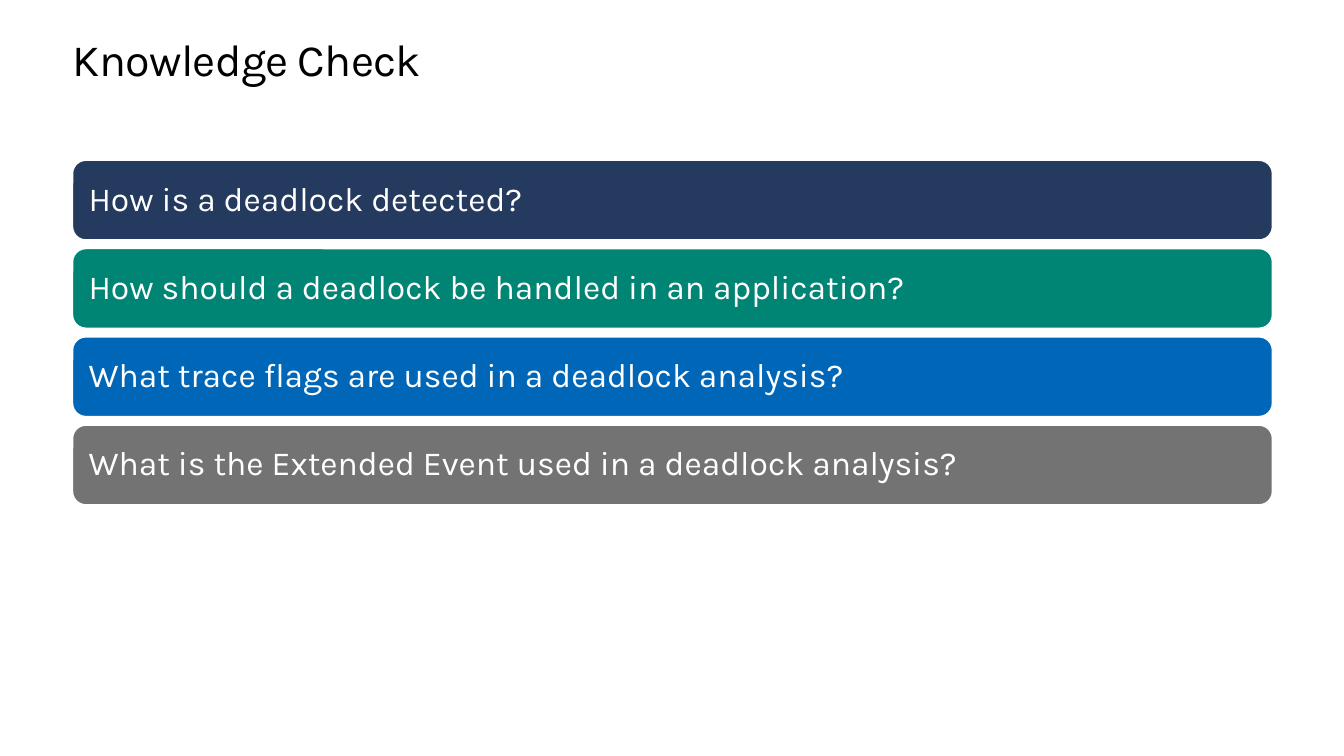
from pptx import Presentation
from pptx.dml.color import RGBColor
from pptx.enum.shapes import MSO_SHAPE
from pptx.enum.text import MSO_ANCHOR, PP_ALIGN
from pptx.util import Inches, Pt

ROUNDED = MSO_SHAPE.ROUNDED_RECTANGLE
MIDDLE = MSO_ANCHOR.MIDDLE
LEFT = PP_ALIGN.LEFT

COLORS = {
    "black": "000000",
    "white": "FFFFFF",
    "navy": "243A5E",
    "green": "008575",
    "blue": "0067B8",
    "gray": "737373",
}
QUESTIONS = [
    ("How is a deadlock detected?", "navy"),
    ("How should a deadlock be handled in an application?", "green"),
    ("What trace flags are used in a deadlock analysis?", "blue"),
    ("What is the Extended Event used in a deadlock analysis?", "gray"),
]
MARGIN, WIDTH = 0.72, 11.9
TOP, HEIGHT, PITCH = 1.59, 0.79, 0.876


def color(name):
    return RGBColor.from_string(COLORS[name])


def write(shape, text, size, tint, inset, spacing):
    """Fill a shape with one left-aligned line of text."""
    frame = shape.text_frame
    frame.word_wrap = True
    for side in ("left", "top", "right", "bottom"):
        setattr(frame, f"margin_{side}", Inches(inset))
    line = frame.paragraphs[0]
    line.alignment = LEFT
    line.line_spacing = spacing
    run = line.add_run()
    run.text = text
    for key, value in {"name": "Karla", "size": Pt(size)}.items():
        setattr(run.font, key, value)
    run.font.color.rgb = color(tint)
    return run


deck = Presentation()
deck.slide_width, deck.slide_height = Inches(13.33), Inches(7.5)
slide = deck.slides.add_slide(deck.slide_layouts[6])

# Title
title = slide.shapes.add_textbox(
    Inches(MARGIN), Inches(0.35), Inches(WIDTH), Inches(0.5))
run = write(title, "Knowledge Check", 32, "black", 0, Pt(36.2))
run.font._element.set("spc", "-50")

# Question bars
for row, (text, fill) in enumerate(QUESTIONS):
    bar = slide.shapes.add_shape(
        ROUNDED, Inches(MARGIN), Inches(TOP + row * PITCH),
        Inches(WIDTH), Inches(HEIGHT))
    bar.shadow.inherit = False
    bar.fill.solid()
    bar.fill.fore_color.rgb = color(fill)
    bar.line.color.rgb = color("white")
    bar.line.width = Pt(1)
    bar.text_frame.vertical_anchor = MIDDLE
    write(bar, text, 24, "white", 0.12, 0.9)

deck.save("out.pptx")
